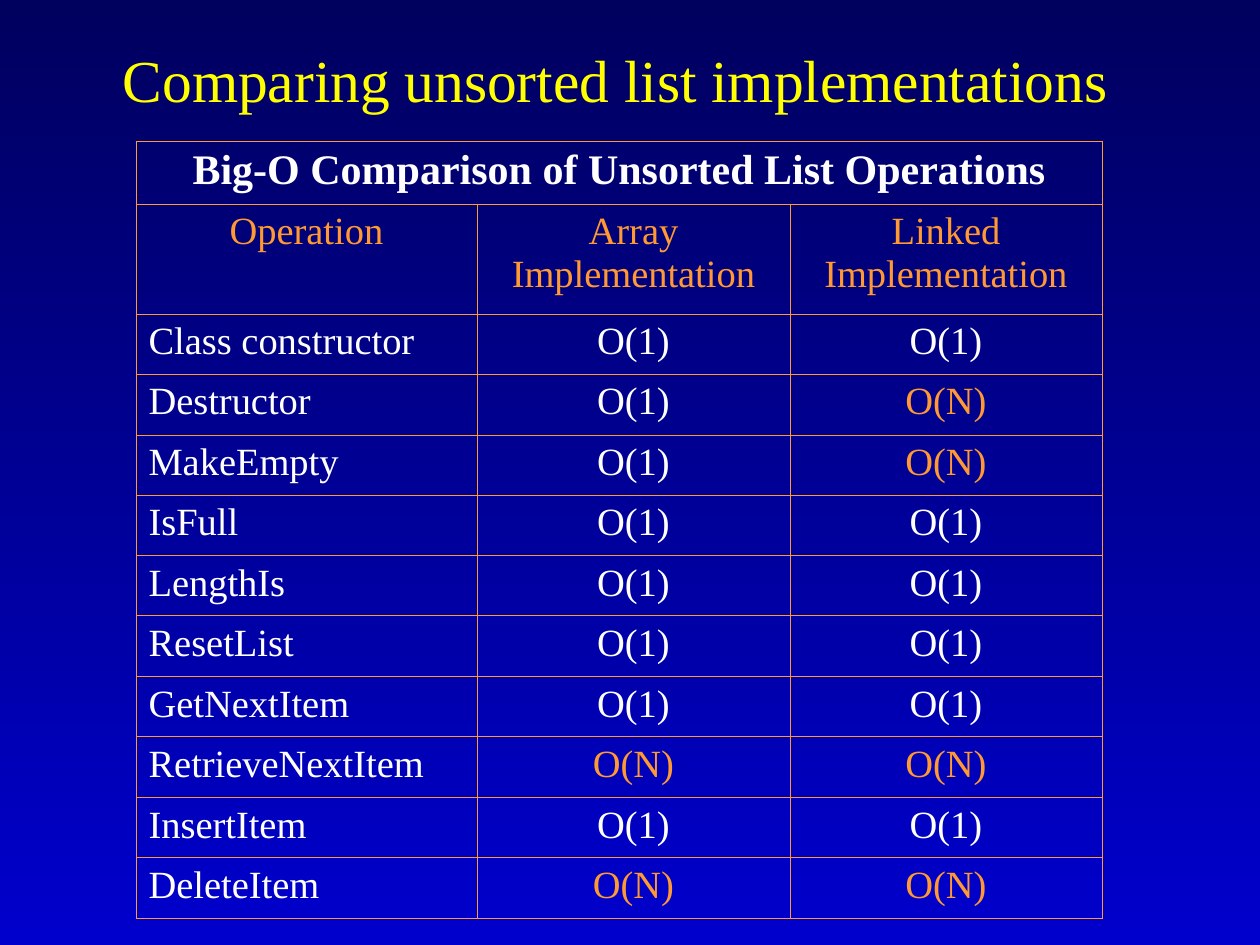
from lxml import etree
from pptx import Presentation
from pptx import util as u
from pptx.dml.color import RGBColor
from pptx.enum import text
from pptx.oxml import ns

PX = u.Inches(1) / 126
FONT = "Times New Roman"
COLORS = {
    "top": "00005E",
    "bottom": "0000CC",
    "title": "FFFF00",
    "body": "FFFFFF",
    "accent": "FF9933",
}


def px(length):
    return u.Emu(round(length * PX))


def style(paragraph, size, color, align, bold=False):
    paragraph.alignment = align
    for run in paragraph.runs:
        run.font.name = FONT
        run.font.size = u.Pt(size)
        run.font.bold = bold
        run.font.color.rgb = RGBColor.from_string(COLORS[color])


deck = Presentation()
deck.slide_width, deck.slide_height = px(1260), px(945)
slide = deck.slides.add_slide(deck.slide_layouts[5])

backdrop = slide.background.fill
backdrop.gradient()
backdrop.gradient_angle = 270
for stop, color in zip(backdrop.gradient_stops, ("top", "bottom")):
    stop.color.rgb = RGBColor.from_string(COLORS[color])

heading = slide.shapes.title
heading.left, heading.top, heading.width, heading.height = px(75), px(42), px(1081), px(73)
heading.text_frame.text = "Comparing unsorted list implementations"
heading.text_frame.vertical_anchor = text.MSO_ANCHOR.MIDDLE
heading.text_frame.auto_size = text.MSO_AUTO_SIZE.NONE
style(heading.text_frame.paragraphs[0], 34, "title", text.PP_ALIGN.CENTER)

comparison = [
    ("Big-O Comparison of Unsorted List Operations", "", ""),
    ("Operation", "Array Implementation", "Linked Implementation"),
    ("Class constructor", "O(1)", "O(1)"),
    ("Destructor", "O(1)", "O(N)"),
    ("MakeEmpty", "O(1)", "O(N)"),
    ("IsFull", "O(1)", "O(1)"),
    ("LengthIs", "O(1)", "O(1)"),
    ("ResetList", "O(1)", "O(1)"),
    ("GetNextItem", "O(1)", "O(1)"),
    ("RetrieveNextItem", "O(N)", "O(N)"),
    ("InsertItem", "O(1)", "O(1)"),
    ("DeleteItem", "O(N)", "O(N)"),
]
column_widths = [341, 313, 312]
row_heights = [63, 110] + [60, 61] * 5

operations = slide.shapes.add_table(
    len(comparison), len(column_widths),
    px(136), px(141), px(sum(column_widths)), px(sum(row_heights)),
).table
operations.first_row = False
operations.horz_banding = False
for column, width in zip(operations.columns, column_widths):
    column.width = px(width)
for row, height in zip(operations.rows, row_heights):
    row.height = px(height)
operations.cell(0, 0).merge(operations.cell(0, 2))

for r, entries in enumerate(comparison):
    for c, entry in enumerate(entries):
        cell = operations.cell(r, c)
        properties = cell._tc.get_or_add_tcPr()
        for side in ("a:lnL", "a:lnR", "a:lnT", "a:lnB"):
            border = etree.SubElement(properties, ns.qn(side), w=str(u.Pt(0.45)))
            paint = etree.SubElement(border, ns.qn("a:solidFill"))
            etree.SubElement(paint, ns.qn("a:srgbClr"), val=COLORS["accent"])
        cell.fill.background()
        if not entry:
            continue
        cell.text_frame.text = entry
        style(
            cell.text_frame.paragraphs[0],
            24 if r == 0 else 22,
            "accent" if r == 1 or entry == "O(N)" else "body",
            text.PP_ALIGN.LEFT if r > 1 and c == 0 else text.PP_ALIGN.CENTER,
            bold=r == 0,
        )

deck.save("out.pptx")
